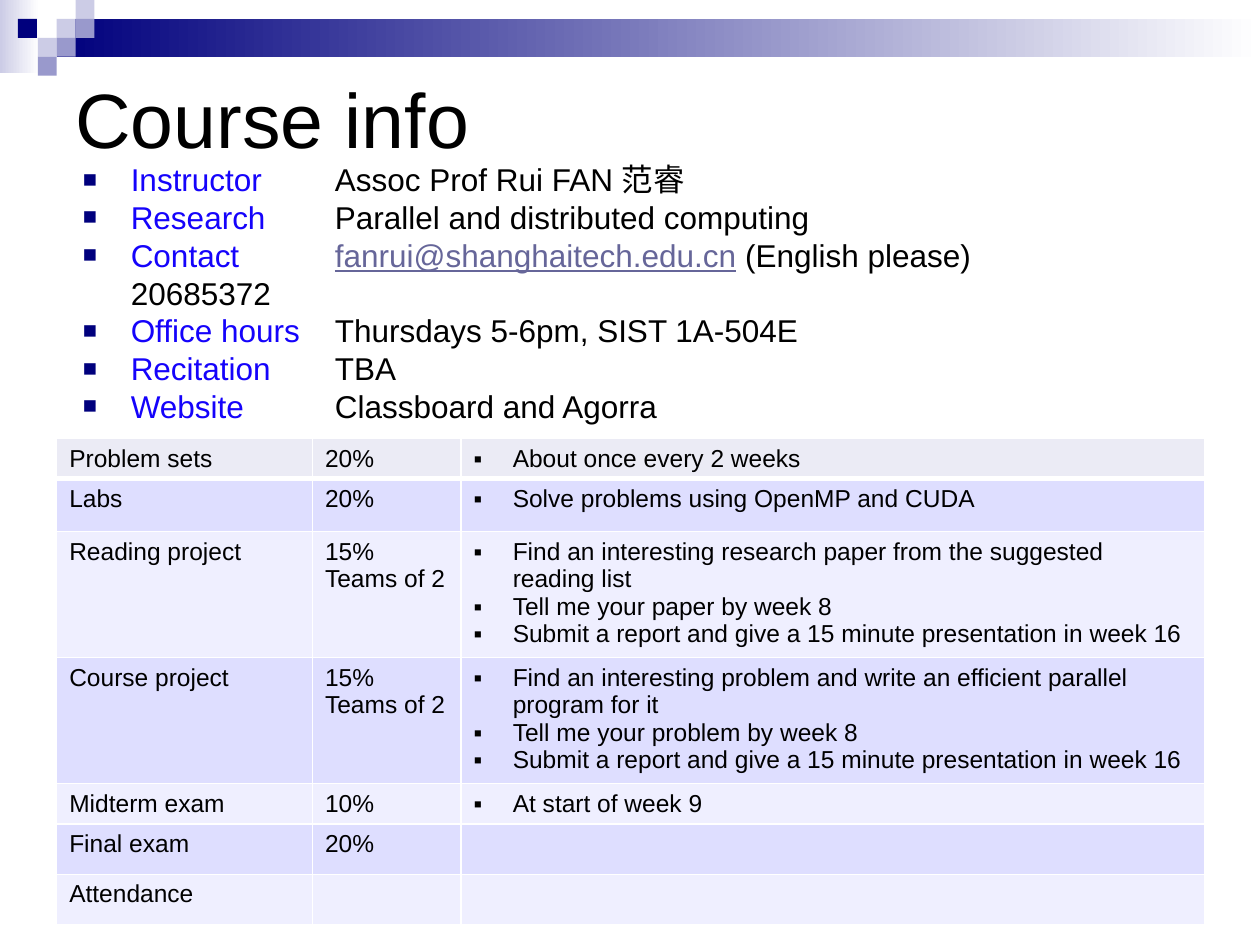
from dataclasses import dataclass

from lxml import etree
from pptx import Presentation
from pptx import util as u
from pptx.dml import color
from pptx.enum import shapes, text
from pptx.oxml import ns

WIDTH, HEIGHT = u.Inches(10), u.Inches(7.5)
TILE = 0.15
COLORS = {
    "navy": "00007D", "mid": "9999CC", "pale": "CCCCE6", "white": "FFFFFF",
    "black": "000000", "label": "1503FB", "email": "666699",
    "head": "EBEBF5", "dark_band": "DEDEFF", "light_band": "EFEFFF",
}


@dataclass(frozen=True)
class Tile:
    column: float
    row: float
    color: str
    columns: float = 1
    rows: float = 1
    fade: bool = False


@dataclass(frozen=True)
class Span:
    text: str
    color: str = "black"
    font: str = "Arial"
    underline: bool = False


@dataclass(frozen=True)
class Fact:
    label: str
    spans: tuple[Span, ...]
    second_line: str = ""


@dataclass(frozen=True)
class Grade:
    name: str
    weight: tuple[str, ...]
    notes: tuple[str, ...]
    height: float


TILES = [
    Tile(0, 0, "pale", 2.07, 3.87, True),
    Tile(3, 1, "navy", 63.67, 2, True),
    Tile(3, 1, "pale"), Tile(4, 0, "pale"), Tile(4, 1, "mid"),
    Tile(2, 2, "pale"), Tile(0.95, 1, "navy"), Tile(3, 2, "mid"),
    Tile(2, 3, "mid"),
]
FACTS = [
    Fact("Instructor", (Span("Assoc Prof Rui FAN "), Span("范睿", font="Noto Sans CJK SC"))),
    Fact("Research", (Span("Parallel and distributed computing"),)),
    Fact("Contact", (Span("fanrui@shanghaitech.edu.cn", "email", underline=True),
                     Span(" (English please)")), "20685372"),
    Fact("Office hours", (Span("Thursdays 5-6pm, SIST 1A-504E"),)),
    Fact("Recitation", (Span("TBA"),)),
    Fact("Website", (Span("Classboard and Agorra"),)),
]
REPORT = "Submit a report and give a 15 minute presentation in week 16"
GRADES = [
    Grade("Problem sets", ("20%",), ("About once every 2 weeks",), 0.32),
    Grade("Labs", ("20%",), ("Solve problems using OpenMP and CUDA",), 0.42),
    Grade("Reading project", ("15%", "Teams of 2"),
          ("Find an interesting research paper from the suggested reading list",
           "Tell me your paper by week 8", REPORT), 1),
    Grade("Course project", ("15%", "Teams of 2"),
          ("Find an interesting problem and write an efficient parallel program for it",
           "Tell me your problem by week 8", REPORT), 1),
    Grade("Midterm exam", ("10%",), ("At start of week 9",), 0.32),
    Grade("Final exam", ("20%",), (), 0.4),
    Grade("Attendance", (), (), 0.4),
]
COLUMNS = (2.03, 1.18, 5.9)


def rgb(name: str) -> color.RGBColor:
    return color.RGBColor.from_string(COLORS[name])


def child(parent, tag: str, **attributes: str):
    return etree.SubElement(parent, ns.qn(tag), attributes)


def draw_tile(page, tile: Tile) -> None:
    box = page.shapes.add_shape(
        shapes.MSO_SHAPE.RECTANGLE,
        *(u.Inches(TILE * n) for n in (tile.column, tile.row, tile.columns, tile.rows)))
    box.shadow.inherit = False
    box.line.fill.background()
    if tile.fade:
        box.fill.gradient()
        box.fill.gradient_angle = 0
        for stop, name, place in zip(box.fill.gradient_stops, (tile.color, "white"), (0, 1)):
            stop.color.rgb = rgb(name)
            stop.position = place
    else:
        box.fill.solid()
        box.fill.fore_color.rgb = rgb(tile.color)


def add_span(para, span: Span, size: float) -> None:
    run = para.add_run()
    run.text = span.text
    run.font.size = u.Pt(size)
    run.font.name = span.font
    run.font.color.rgb = rgb(span.color)
    run.font.bold = False
    if span.underline:
        run.font.underline = True
    if span.font != "Arial":
        child(run.font._element, "a:ea", typeface=span.font)


def add_bullet(para, mark: str, indent: float, name: str, share: int, tab: float = 0) -> None:
    props = para._p.get_or_add_pPr()
    props.set("marL", str(u.Inches(indent)))
    props.set("indent", str(-u.Inches(indent)))
    child(child(props, "a:buClr"), "a:srgbClr", val=COLORS[name])
    child(props, "a:buSzPct", val=str(share * 1000))
    child(props, "a:buFont", typeface="Arial")
    child(props, "a:buChar", char=mark)
    if tab:
        child(child(props, "a:tabLst"), "a:tab", pos=str(u.Inches(tab)), algn="l")


def next_para(frame, index: int):
    return frame.add_paragraph() if index else frame.paragraphs[0]


def add_frame(page, left: float, top: float, width: float, height: float):
    box = page.shapes.add_textbox(int(WIDTH * left), int(HEIGHT * top),
                                  int(WIDTH * width), int(HEIGHT * height))
    box.text_frame.word_wrap = True
    return box.text_frame


def draw_facts(page) -> None:
    frame = add_frame(page, 0.056, 0.163, 0.903, 0.288)
    for index, fact in enumerate(FACTS):
        para = next_para(frame, index)
        add_bullet(para, "■", 0.38, "navy", 75, tab=2)
        add_span(para, Span(fact.label + "\t", "label"), 18)
        for span in fact.spans:
            add_span(para, span, 18)
        if fact.second_line:
            para.add_line_break()
            add_span(para, Span(fact.second_line), 18)


def set_borders(cell, bottom: float) -> None:
    props = cell._tc.get_or_add_tcPr()
    for index, (side, points) in enumerate((("L", 1), ("R", 1), ("T", 1), ("B", bottom))):
        line = etree.Element(ns.qn(f"a:ln{side}"), w=str(u.Pt(points)))
        child(child(line, "a:solidFill"), "a:srgbClr", val=COLORS["white"])
        props.insert(index, line)


def fill_cell(cell, lines: tuple[str, ...], band: str, bulleted: bool, bottom: float) -> None:
    cell.fill.solid()
    cell.fill.fore_color.rgb = rgb(band)
    cell.margin_bottom = u.Inches(0.01)
    if bulleted:
        cell.margin_right = u.Inches(0.12)
    set_borders(cell, bottom)
    for index, line in enumerate(lines):
        para = next_para(cell.text_frame, index)
        if bulleted:
            add_bullet(para, "▪", 0.31, "black", 100)
        add_span(para, Span(line), 14)
    if not lines:
        cell.text_frame.paragraphs[0].font.size = u.Pt(14)


def draw_grades(page) -> None:
    table = page.shapes.add_table(
        len(GRADES), len(COLUMNS), u.Inches(0.45), u.Inches(3.48),
        u.Inches(sum(COLUMNS)), u.Inches(sum(grade.height for grade in GRADES))).table
    for column, width in zip(table.columns, COLUMNS):
        column.width = u.Inches(width)
    for row, grade in enumerate(GRADES):
        table.rows[row].height = u.Inches(grade.height)
        band = ("dark_band" if row % 2 else "light_band") if row else "head"
        for column, lines in enumerate(((grade.name,), grade.weight, grade.notes)):
            fill_cell(table.cell(row, column), lines, band, column == 2, 1 if row else 3)


def main() -> None:
    deck = Presentation()
    deck.slide_width, deck.slide_height = WIDTH, HEIGHT
    page = deck.slides.add_slide(deck.slide_layouts[6])
    for tile in TILES:
        draw_tile(page, tile)
    title = add_frame(page, 0.05, 0.067, 0.9, 0.115)
    title.vertical_anchor = text.MSO_ANCHOR.MIDDLE
    add_span(title.paragraphs[0], Span("Course info"), 44)
    draw_facts(page)
    draw_grades(page)
    deck.save("out.pptx")


if __name__ == "__main__":
    main()
